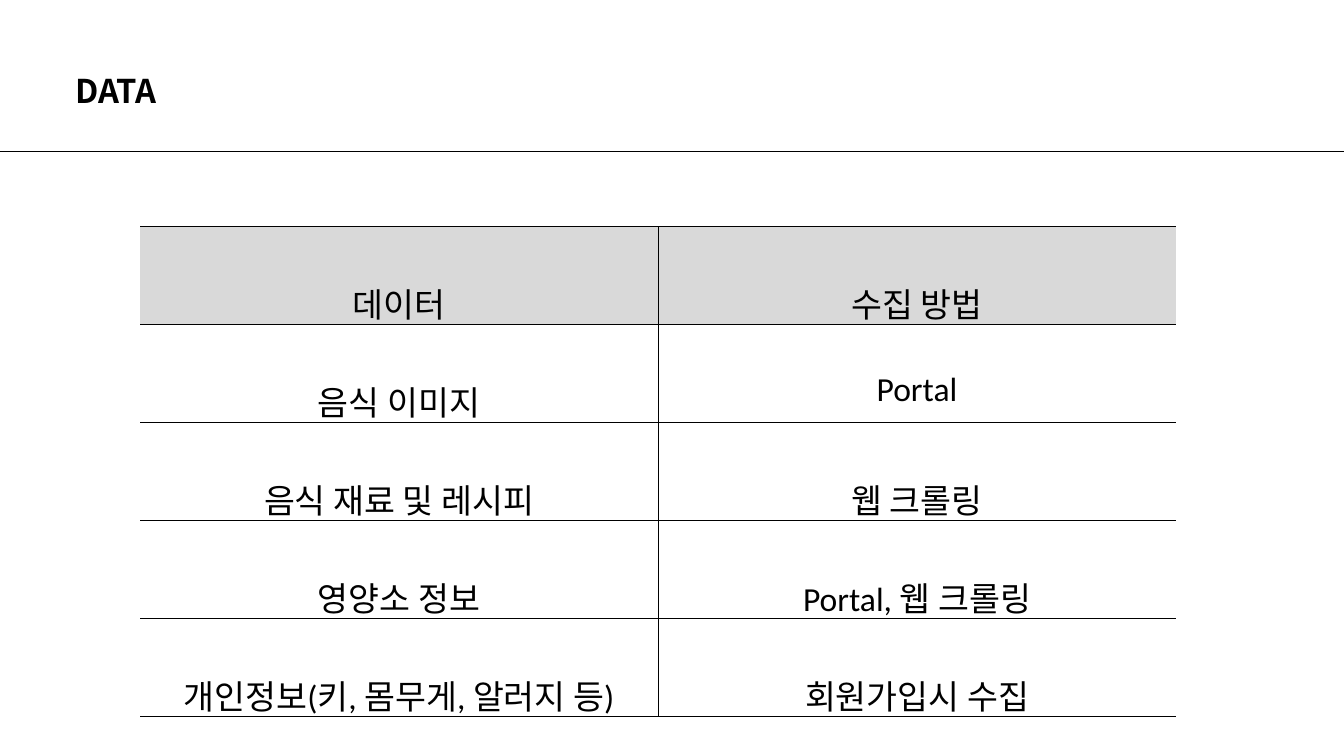
from dataclasses import dataclass

import pptx
import pptx.dml.color
import pptx.enum.shapes
import pptx.enum.text
import pptx.oxml.ns
import pptx.util
from lxml import etree

Pt = pptx.util.Pt
qn = pptx.oxml.ns.qn

BLACK = "000000"
WHITE = "FFFFFF"
GRAY = "D9D9D9"
SLIDE_W, SLIDE_H = 1440, 810
COL_W, ROW_H = 555, 105


@dataclass
class Row:
    data: str
    method: str
    fill: str = WHITE


ROWS = [
    Row("데이터", "수집 방법", GRAY),
    Row("음식 이미지", "Portal"),
    Row("음식 재료 및 레시피", "웹 크롤링"),
    Row("영양소 정보", "Portal, 웹 크롤링"),
    Row("개인정보(키, 몸무게, 알러지 등)", "회원가입시 수집"),
]


def color(value: str) -> pptx.dml.color.RGBColor:
    return pptx.dml.color.RGBColor.from_string(value)


def add_run(p, text: str, size: float, font: str, bold: bool = False) -> None:
    r = p.add_run()
    r.text = text
    r.font.size = Pt(size)
    r.font.name = font
    r.font.bold = bold
    r.font.color.rgb = color(BLACK)


def add_title(s, text: str) -> None:
    sp = s.shapes.add_textbox(Pt(80.64), Pt(76.32), Pt(597), Pt(42))
    tf = sp.text_frame
    tf.word_wrap = True
    tf.auto_size = pptx.enum.text.MSO_AUTO_SIZE.SHAPE_TO_FIT_TEXT
    tf.margin_left = tf.margin_top = tf.margin_right = tf.margin_bottom = 0
    p = tf.paragraphs[0]
    p.line_spacing = Pt(42)
    add_run(p, text, 35, "Noto Sans CJK SC", bold=True)


def add_rule(s, y: float) -> None:
    line = s.shapes.add_connector(
        pptx.enum.shapes.MSO_CONNECTOR.STRAIGHT, 0, Pt(y), Pt(SLIDE_W), Pt(y)
    )
    line.line.color.rgb = color(BLACK)
    line.line.width = Pt(0.75)
    etree.SubElement(line._element.spPr, qn("a:effectLst"))


def set_borders(cell, sides: str) -> None:
    tc_pr = cell._tc.get_or_add_tcPr()
    for side in "LRTB":
        ln = etree.SubElement(tc_pr, qn(f"a:ln{side}"), w=str(Pt(1)))
        if side in sides:
            fill = etree.SubElement(ln, qn("a:solidFill"))
            etree.SubElement(fill, qn("a:srgbClr"), val=BLACK)
        else:
            etree.SubElement(ln, qn("a:noFill"))


def add_data_table(s, rows: list[Row]) -> None:
    frame = s.shapes.add_table(
        len(rows), 2, Pt(150), Pt(243), Pt(2 * COL_W), Pt(len(rows) * ROW_H)
    )
    table = frame.table
    table.first_row = table.horz_banding = False
    for col in table.columns:
        col.width = Pt(COL_W)
    for i, row in enumerate(rows):
        table.rows[i].height = Pt(ROW_H)
        for j, (text, sides) in enumerate([(row.data, "RTB"), (row.method, "LTB")]):
            cell = table.cell(i, j)
            set_borders(cell, sides)
            cell.fill.solid()
            cell.fill.fore_color.rgb = color(row.fill)
            p = cell.text_frame.paragraphs[0]
            p.alignment = pptx.enum.text.PP_ALIGN.CENTER
            p.line_spacing = 2.0
            add_run(p, text, 36, "Calibri")


def main() -> None:
    prs = pptx.Presentation()
    prs.slide_width, prs.slide_height = Pt(SLIDE_W), Pt(SLIDE_H)
    s = prs.slides.add_slide(prs.slide_layouts[6])
    add_title(s, "DATA")
    add_rule(s, 162)
    add_data_table(s, ROWS)
    prs.save("out.pptx")


if __name__ == "__main__":
    main()
